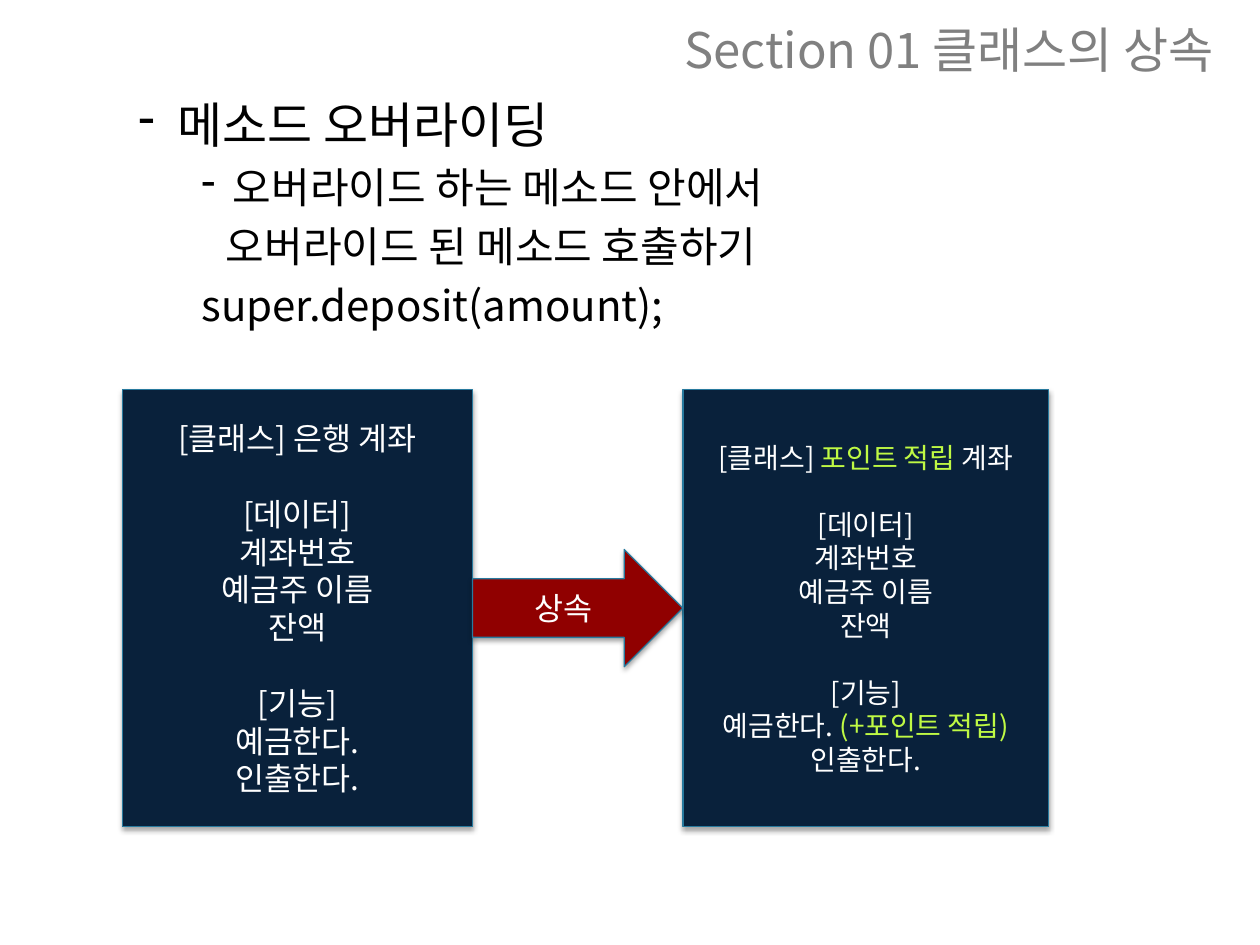
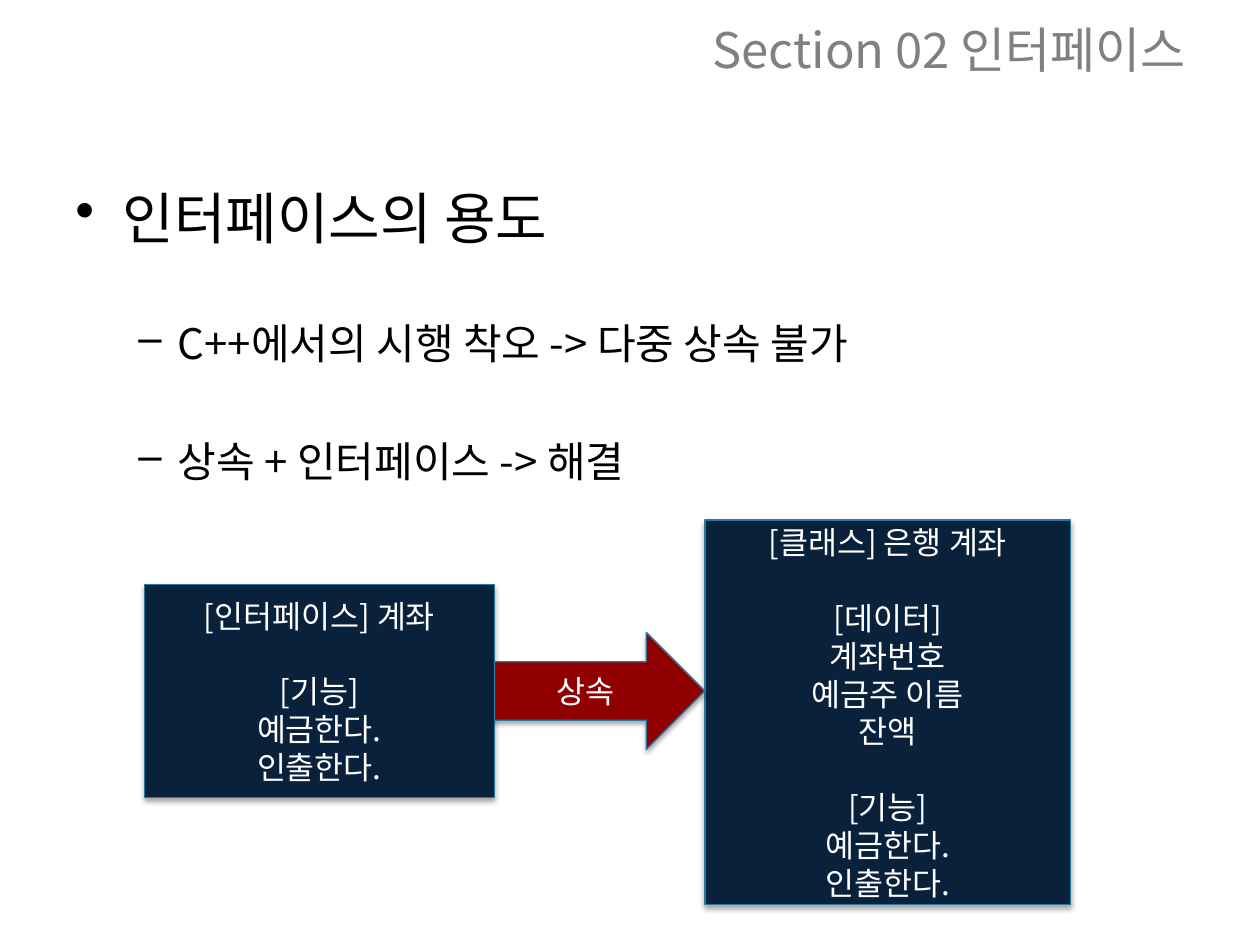
from dataclasses import dataclass
from typing import Optional

import pptx
import pptx.dml.color
import pptx.enum.shapes
import pptx.enum.text
import pptx.util
from lxml import etree
from pptx.oxml.ns import qn

Pt = pptx.util.Pt
RGB = pptx.dml.color.RGBColor.from_string
ALIGN = pptx.enum.text.PP_ALIGN
ANCHOR = pptx.enum.text.MSO_ANCHOR
SHAPE = pptx.enum.shapes.MSO_SHAPE


@dataclass(frozen=True)
class Theme:
    title: str = "808080"
    body: str = "000000"
    box: str = "09213B"
    arrow: str = "900000"
    outline: str = "287A9E"
    light: str = "FFFFFF"
    accent: str = "BFF944"
    font: str = "Noto Sans CJK KR"
    arrow_font: str = "Calibri"
    heading_size: float = 32
    title_size: float = 28
    body_size: float = 24
    box_size: float = 18
    small_size: float = 16
    leading: float = 1.2
    body_gap: float = 0.2


T = Theme()


@dataclass(frozen=True)
class Span:
    text: str
    color: str = T.light


@dataclass(frozen=True)
class Point:
    text: str
    size: float = T.body_size
    margin: float = 72
    hang: float = 0
    bullet: Optional[str] = None
    skip_line: bool = False


@dataclass(frozen=True)
class ClassBox:
    top: float
    width: float
    height: float
    groups: list
    size: float = T.box_size


@dataclass(frozen=True)
class Lesson:
    title: str
    body_top: float
    body_height: float
    body_inset: float
    points: list
    left: float
    parent: ClassBox
    child: ClassBox


def add_text(tf, text, *, size: float, color: str, first: bool = False,
             font: str = T.font, align=ALIGN.CENTER, before: float = 0,
             margin: float = 0, hang: float = 0,
             bullet: Optional[str] = None) -> None:
    p = tf.paragraphs[0] if first else tf.add_paragraph()
    p.alignment = align
    p.line_spacing = Pt(size * T.leading)
    p.space_before = Pt(before)
    props = p._p.get_or_add_pPr()
    props.set("marL", str(Pt(margin)))
    props.set("indent", str(-Pt(hang)))
    if bullet:
        etree.SubElement(props, qn("a:buChar"), char=bullet)
    spans = [Span(text, color)] if isinstance(text, str) else text
    for span in spans:
        r = p.add_run()
        r.text = span.text
        r.font.size = Pt(size)
        r.font.name = font
        r.font.color.rgb = RGB(span.color)
        etree.SubElement(r._r.get_or_add_rPr(), qn("a:ea"), typeface=font)


def add_frame(slide, left: float, top: float, width: float, height: float):
    sp = slide.shapes.add_textbox(Pt(left), Pt(top), Pt(width), Pt(height))
    sp.text_frame.word_wrap = True
    return sp.text_frame


def add_panel(slide, kind, fill: str, left: float, top: float,
              width: float, height: float):
    sp = slide.shapes.add_shape(kind, Pt(left), Pt(top), Pt(width), Pt(height))
    sp.shadow.inherit = False
    sp.fill.solid()
    sp.fill.fore_color.rgb = RGB(fill)
    sp.line.color.rgb = RGB(T.outline)
    sp.line.width = Pt(0.75)
    effects = sp._element.spPr.find(qn("a:effectLst"))
    shadow = etree.SubElement(
        effects, qn("a:outerShdw"), blurRad=str(Pt(3.1)), dist=str(Pt(1.8)),
        dir="5400000", rotWithShape="0")
    color = etree.SubElement(shadow, qn("a:srgbClr"), val="000000")
    etree.SubElement(color, qn("a:alpha"), val="35000")
    tf = sp.text_frame
    tf.word_wrap = True
    tf.vertical_anchor = ANCHOR.MIDDLE
    return tf


def add_class_box(slide, box: ClassBox, left: float) -> None:
    tf = add_panel(slide, SHAPE.RECTANGLE, T.box,
                   left, box.top, box.width, box.height)
    for g, group in enumerate(box.groups):
        for i, line in enumerate(group):
            gap = box.size * T.leading if g and not i else 0
            add_text(tf, line, size=box.size, color=T.light,
                     first=not g and not i, before=gap)


def add_inheritance(slide, lesson: Lesson) -> None:
    parent, child = lesson.parent, lesson.child
    arrow_width, arrow_height = 120.24, 67
    arrow_left = lesson.left + parent.width
    middle = parent.top + parent.height / 2
    add_class_box(slide, child, arrow_left + arrow_width)
    add_class_box(slide, parent, lesson.left)
    tf = add_panel(slide, SHAPE.RIGHT_ARROW, T.arrow, arrow_left,
                   middle - arrow_height / 2, arrow_width, arrow_height)
    add_text(tf, "상속", size=T.box_size, color=T.light, first=True,
             font=T.arrow_font)


def add_lesson(prs, lesson: Lesson) -> None:
    slide = prs.slides.add_slide(prs.slide_layouts[6])
    tf = add_frame(slide, 365, 0, 355, 56)
    tf.vertical_anchor = ANCHOR.MIDDLE
    add_text(tf, lesson.title, size=T.title_size, color=T.title, first=True)

    tf = add_frame(slide, 36, lesson.body_top, 648, lesson.body_height)
    tf.margin_top = Pt(lesson.body_inset)
    for i, point in enumerate(lesson.points):
        gap = point.size * T.body_gap
        if point.skip_line:
            gap += point.size * (T.leading + T.body_gap)
        add_text(tf, point.text, size=point.size, color=T.body, first=i == 0,
                 align=ALIGN.LEFT, before=gap if i else 0,
                 margin=point.margin, hang=point.hang, bullet=point.bullet)
    add_inheritance(slide, lesson)


DATA = ["[데이터]", "계좌번호", "예금주 이름", "잔액"]
ACTIONS = ["[기능]", "예금한다.", "인출한다."]
ACCOUNT = [["[클래스] 은행 계좌"], DATA, ACTIONS]
POINT_ACCOUNT = [
    [[Span("[클래스] "), Span("포인트 적립", T.accent), Span(" 계좌")]],
    DATA,
    ["[기능]", [Span("예금한다. "), Span("(+포인트 적립)", T.accent)], "인출한다."],
]

LESSONS = [
    Lesson(
        "Section 01 클래스의 상속", 50.4, 476, 3.6,
        [
            Point("메소드 오버라이딩", T.title_size, 58.5, 22.5, "-"),
            Point("오버라이드 하는 메소드 안에서", margin=90, hang=18, bullet="-"),
            Point("오버라이드 된 메소드 호출하기", margin=86),
            Point("super.deposit(amount);"),
        ],
        69.84,
        ClassBox(222.5, 200.16, 250, ACCOUNT),
        ClassBox(222.5, 209, 250, POINT_ACCOUNT, T.small_size),
    ),
    Lesson(
        "Section 02 인터페이스", 56.2, 411, 48.4,
        [
            Point("인터페이스의 용도", T.heading_size, 27, 27, "•"),
            Point("C++에서의 시행 착오 -> 다중 상속 불가",
                  margin=58.5, hang=22.5, bullet="–", skip_line=True),
            Point("상속 + 인터페이스 -> 해결",
                  margin=58.5, hang=22.5, bullet="–", skip_line=True),
        ],
        82.4,
        ClassBox(334, 200.16, 121.7, [["[인터페이스] 계좌"], ACTIONS]),
        ClassBox(297.2, 209, 219.8, ACCOUNT),
    ),
]


def main() -> None:
    prs = pptx.Presentation()
    prs.slide_width, prs.slide_height = Pt(720), Pt(540)
    for lesson in LESSONS:
        add_lesson(prs, lesson)
    prs.save("out.pptx")


if __name__ == "__main__":
    main()
